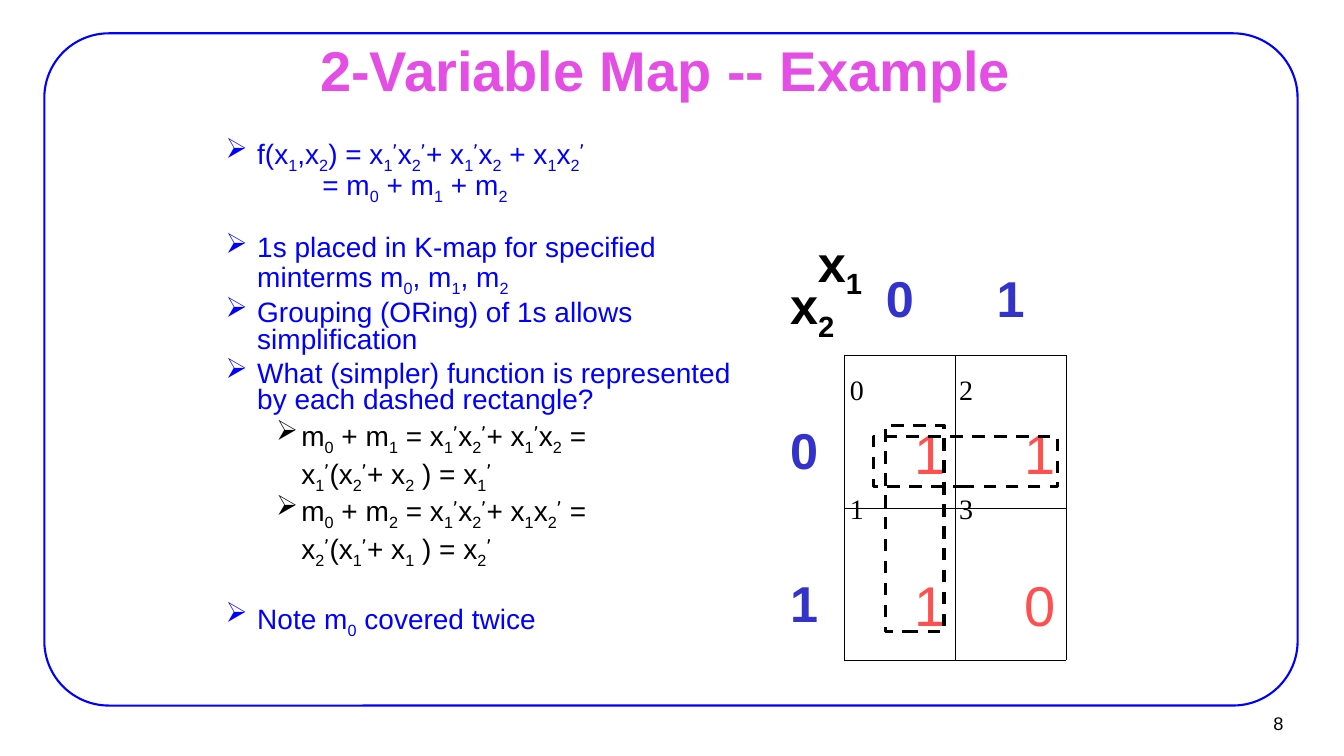
"""Build the two-variable Karnaugh map example slide."""
from itertools import groupby

from lxml.etree import SubElement
from pptx import Presentation
from pptx.dml.color import RGBColor
from pptx.enum.dml import MSO_LINE
from pptx.enum.shapes import MSO_SHAPE
from pptx.enum.text import MSO_ANCHOR, PP_ALIGN
from pptx.oxml import parse_xml
from pptx.oxml.ns import nsdecls, qn
from pptx.util import Pt

COLORS = {"blue": "0000FF", "pink": "E44EE4", "black": "000000",
          "index": "3333CC", "value": "FF5050"}


def write(paragraph, text, size, color, bold=False, align=PP_ALIGN.LEFT, font="Arial"):
    """Write text in which _ lowers the next character and a prime has its own font."""
    paragraph.alignment = align
    paragraph.font.name = font
    paragraph.font.size = Pt(size)
    paragraph.font.bold = bold
    paragraph.font.color.rgb = RGBColor.from_string(COLORS[color])
    for line_number, line in enumerate(text.split("\n")):
        if line_number:
            paragraph.add_line_break()
        for position, piece in enumerate(line.split("_")):
            if position:
                subscript = paragraph.add_run()
                subscript.text = piece[0]
                subscript._r.get_or_add_rPr().set("baseline", "-25000")
                piece = piece[1:]
            for is_prime, letters in groupby(piece, lambda letter: letter == "’"):
                run = paragraph.add_run()
                run.text = "".join(letters)
                if is_prime:
                    run.font.name = "Comic Neue"


def add_frame(left, top, width, height, side=7.2, edge=3.6, wrap=False, anchor=MSO_ANCHOR.TOP):
    """Add an empty text box and return its text frame."""
    frame = slide.shapes.add_textbox(Pt(left), Pt(top), Pt(width), Pt(height)).text_frame
    frame.margin_left = frame.margin_right = Pt(side)
    frame.margin_top = frame.margin_bottom = Pt(edge)
    frame.word_wrap = wrap
    frame.vertical_anchor = anchor
    return frame


prs = Presentation()
prs.slide_width, prs.slide_height = Pt(960.48), Pt(540)
slide = prs.slides.add_slide(prs.slide_layouts[6])

border = slide.shapes.add_shape(MSO_SHAPE.ROUNDED_RECTANGLE, Pt(31.7), Pt(23.8), Pt(895.7), Pt(480.2))
border.adjustments[0] = 0.096
border.shadow.inherit = False
border.fill.background()
border.line.color.rgb = RGBColor.from_string(COLORS["blue"])
border.line.width = Pt(1.5)

page_number = add_frame(865.4, 503.3, 58.3, 26.6, 6.5, 2.9, anchor=MSO_ANCHOR.MIDDLE)
write(page_number.paragraphs[0], "8", 13, "black", align=PP_ALIGN.RIGHT)

title = add_frame(72.7, 31.7, 816.5, 35.3, 7.9, 4.3, True, MSO_ANCHOR.MIDDLE)
write(title.paragraphs[0], "2-Variable Map -- Example ", 40, "pink", True, PP_ALIGN.CENTER)

POINTS = [
    (0, True, 0, "f(x_1,x_2) = x_1’x_2’+ x_1’x_2 + x_1x_2’\n\t= m_0 + m_1 + m_2"),
    (0, True, 25, "1s placed in K-map for specified minterms m_0, m_1, m_2"),
    (0, True, 5, "Grouping (ORing) of 1s allows simplification"),
    (0, True, 5, "What (simpler) function is represented by each dashed rectangle?"),
    (1, True, 5, "m_0 + m_1 = x_1’x_2’+ x_1’x_2 ="),
    (1, False, 5, "x_1’(x_2’+ x_2 ) = x_1’"),
    (1, True, 5, "m_0 + m_2 = x_1’x_2’+ x_1x_2’ ="),
    (1, False, 5, "x_2’(x_1’+ x_1 ) = x_2’"),
    (0, True, 28, "Note m_0 covered twice"),
]
LEVELS = [(58.5, 22.5, "blue"), (90, 18, "black")]
body = add_frame(117.4, 95.8, 425.5, 365.8, 7.9, 4.3, True)
for number, (level, bulleted, gap, text) in enumerate(POINTS):
    paragraph = body.add_paragraph() if number else body.paragraphs[0]
    margin, hanging, color = LEVELS[level]
    paragraph.level = level
    properties = paragraph._p.get_or_add_pPr()
    properties.set("marL", str(Pt(margin)))
    properties.set("indent", str(-Pt(hanging) if bulleted else 0))
    if bulleted:
        bullet_color = SubElement(properties, qn("a:buClr"))
        SubElement(bullet_color, qn("a:srgbClr"), val=COLORS[color])
        SubElement(properties, qn("a:buChar"), char="➢")
    else:
        SubElement(properties, qn("a:buNone"))
    if "\t" in text:
        tabs = SubElement(properties, qn("a:tabLst"))
        SubElement(tabs, qn("a:tab"), pos=str(Pt(105)), algn="l")
    paragraph.line_spacing = 0.8
    paragraph.space_before = Pt(gap)
    write(paragraph, text, 20, color)

MAP = [["x_2", "0", "1"], ["0", "1", "1"], ["1", "1", "0"]]
kmap = slide.shapes.add_table(3, 3, Pt(545.8), Pt(145.4), Pt(216), Pt(326.1)).table
kmap.first_row = kmap.horz_banding = False
for column, width in zip(kmap.columns, (57.6, 79.2, 79.2)):
    column.width = Pt(width)
for row, texts in enumerate(MAP):
    kmap.rows[row].height = Pt(108.7)
    for col, text in enumerate(texts):
        cell = kmap.cell(row, col)
        cell.margin_top = Pt(49 if row or col else 54)
        cell.margin_bottom = Pt(3.6)
        cell.margin_left = cell.margin_right = Pt(7.2)
        paragraph = cell.text_frame.paragraphs[0]
        if row and col:
            write(paragraph, text, 40, "value", align=PP_ALIGN.RIGHT)
        elif row or col:
            write(paragraph, text, 36, "index", True, PP_ALIGN.CENTER)
        else:
            write(paragraph, text, 36, "black", True, PP_ALIGN.RIGHT)
        cell.fill.background()
        inner = row > 0 and col > 0
        sides = {"lnL": inner, "lnR": row > 0, "lnT": inner, "lnB": col > 0}
        for order, (side, visible) in enumerate(sides.items()):
            paint = (f'<a:solidFill><a:srgbClr val="{COLORS["black"]}"/></a:solidFill>'
                     if visible else "<a:noFill/>")
            cell._tc.get_or_add_tcPr().insert(order, parse_xml(
                f'<a:{side} {nsdecls("a")} w="{Pt(0.45)}">{paint}</a:{side}>'))

column_variable = add_frame(577.4, 162, 46.1, 56.9)
write(column_variable.paragraphs[0], "x_1", 36, "black", True)

for col in range(2):
    for row in range(2):
        minterm = add_frame(600.3 + 78 * col, 262.8 + 85 * row, 24.5, 31.7)
        write(minterm.paragraphs[0], str(2 * col + row), 20, "black", font="Times New Roman")

for left, top, width, height in [(632.9, 303.8, 41.8, 147.6), (624.2, 311.8, 131.8, 36)]:
    group = slide.shapes.add_shape(MSO_SHAPE.RECTANGLE, Pt(left), Pt(top), Pt(width), Pt(height))
    group.shadow.inherit = False
    group.fill.background()
    group.line.color.rgb = RGBColor.from_string(COLORS["black"])
    group.line.width = Pt(2.25)
    group.line.dash_style = MSO_LINE.DASH

prs.save("out.pptx")
